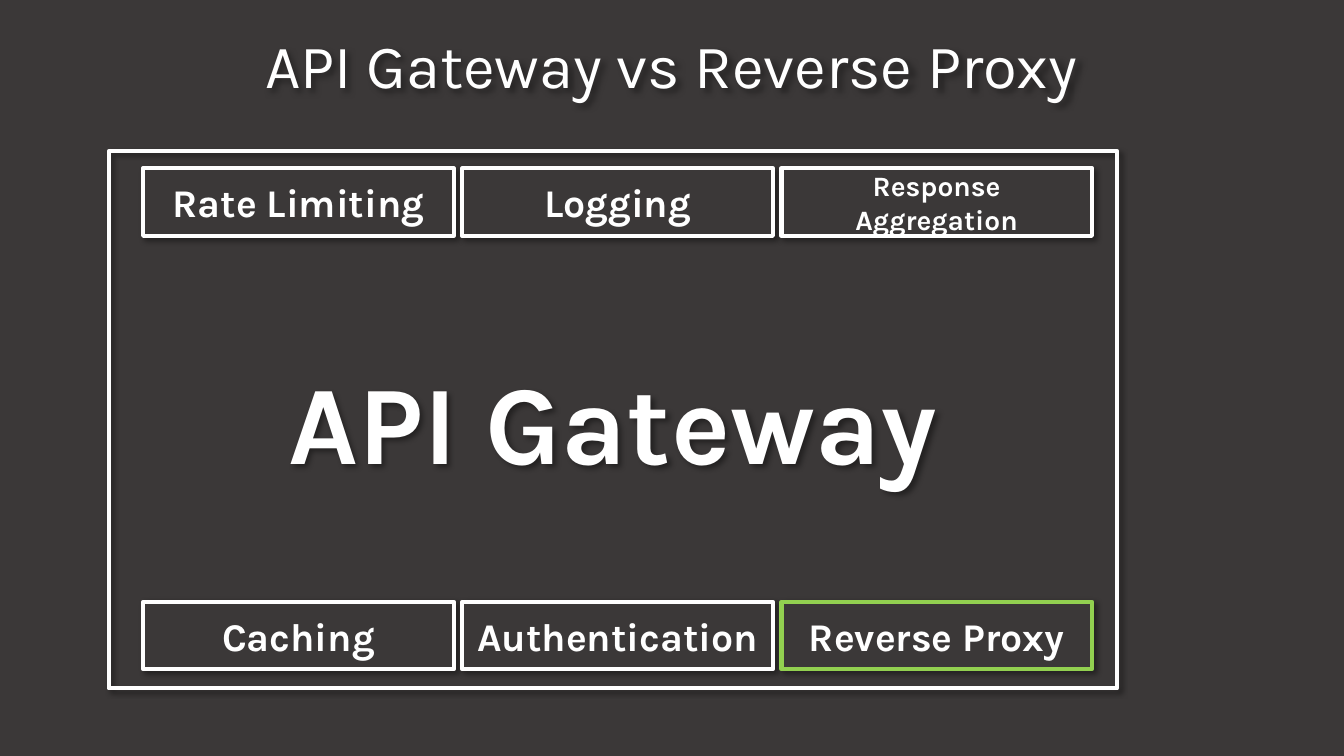
import pptx
import pptx.util
import pptx.dml.color
import pptx.enum.shapes
import pptx.enum.text
import pptx.oxml
import pptx.oxml.ns
from pptx.util import Inches

COLORS = {"background": "3B3838", "white": "FFFFFF", "green": "92D050", "shadow": "000000"}
FONT = "Karla"
FEATURE_ROWS = [
    (1.67, [("Rate Limiting", 28, "white"), ("Logging", 28, "white"),
            ("Response Aggregation", 20, "white")]),
    (5.97, [("Caching", 28, "white"), ("Authentication", 28, "white"),
            ("Reverse Proxy", 28, "green")]),
]


def rgb(name):
    return pptx.dml.color.RGBColor.from_string(COLORS[name])


def add_shadow(shape):
    """Give the shape a soft shadow towards the lower right."""
    shape.shadow.inherit = False
    effects = shape._element.spPr.find(pptx.oxml.ns.qn("a:effectLst"))
    effects.append(pptx.oxml.parse_xml(
        f'<a:outerShdw {pptx.oxml.ns.nsdecls("a")} blurRad="{pptx.util.Pt(4)}" '
        f'dist="{pptx.util.Pt(3)}" dir="{45 * 60000}" algn="tl" rotWithShape="0">'
        f'<a:srgbClr val="{COLORS["shadow"]}"><a:alpha val="40000"/></a:srgbClr>'
        '</a:outerShdw>'))


def write_centred(shape, text, size, bold):
    frame = shape.text_frame
    frame.word_wrap = True
    frame.vertical_anchor = pptx.enum.text.MSO_ANCHOR.MIDDLE
    paragraph = frame.paragraphs[0]
    paragraph.text = text
    paragraph.alignment = pptx.enum.text.PP_ALIGN.CENTER
    paragraph.font.name = FONT
    paragraph.font.size = pptx.util.Pt(size)
    paragraph.font.bold = bold
    paragraph.font.color.rgb = rgb("white")
    return paragraph


def add_title(slide, left, top, width, height):
    title = slide.shapes.add_textbox(Inches(left), Inches(top), Inches(width), Inches(height))
    paragraph = write_centred(title, "API Gateway vs Reverse Proxy", 44, False)
    paragraph.line_spacing = 0.9
    add_shadow(title)


def add_box(slide, left, top, width, height, text, size, outline="white", fill=None):
    box = slide.shapes.add_shape(pptx.enum.shapes.MSO_SHAPE.RECTANGLE, Inches(left),
                                 Inches(top), Inches(width), Inches(height))
    if fill:
        box.fill.solid()
        box.fill.fore_color.rgb = rgb(fill)
    else:
        box.fill.background()
    box.line.color.rgb = rgb(outline)
    box.line.width = pptx.util.Pt(3)
    add_shadow(box)
    write_centred(box, text, size, True)


def add_feature_row(slide, left, top, width, height, features):
    """Spread the feature boxes evenly over the width."""
    box_width = 3.08
    step = (width - box_width) / (len(features) - 1)
    for column, (text, size, outline) in enumerate(features):
        add_box(slide, left + column * step, top, box_width, height, text, size,
                outline, "background")


def add_gateway(slide, left, top, width, height):
    add_box(slide, left, top, width, height, "API Gateway", 80)
    for row_top, features in FEATURE_ROWS:
        add_feature_row(slide, left + 0.34, row_top, 9.41, 0.67, features)


def main():
    deck = pptx.Presentation()
    deck.slide_width = Inches(13.33)
    deck.slide_height = Inches(7.5)
    slide = deck.slides.add_slide(deck.slide_layouts[6])
    slide.background.fill.solid()
    slide.background.fill.fore_color.rgb = rgb("background")
    add_title(slide, 0, 0, 13.33, 1.36)
    add_gateway(slide, 1.08, 1.5, 10, 5.33)
    deck.save("out.pptx")


if __name__ == "__main__":
    main()
